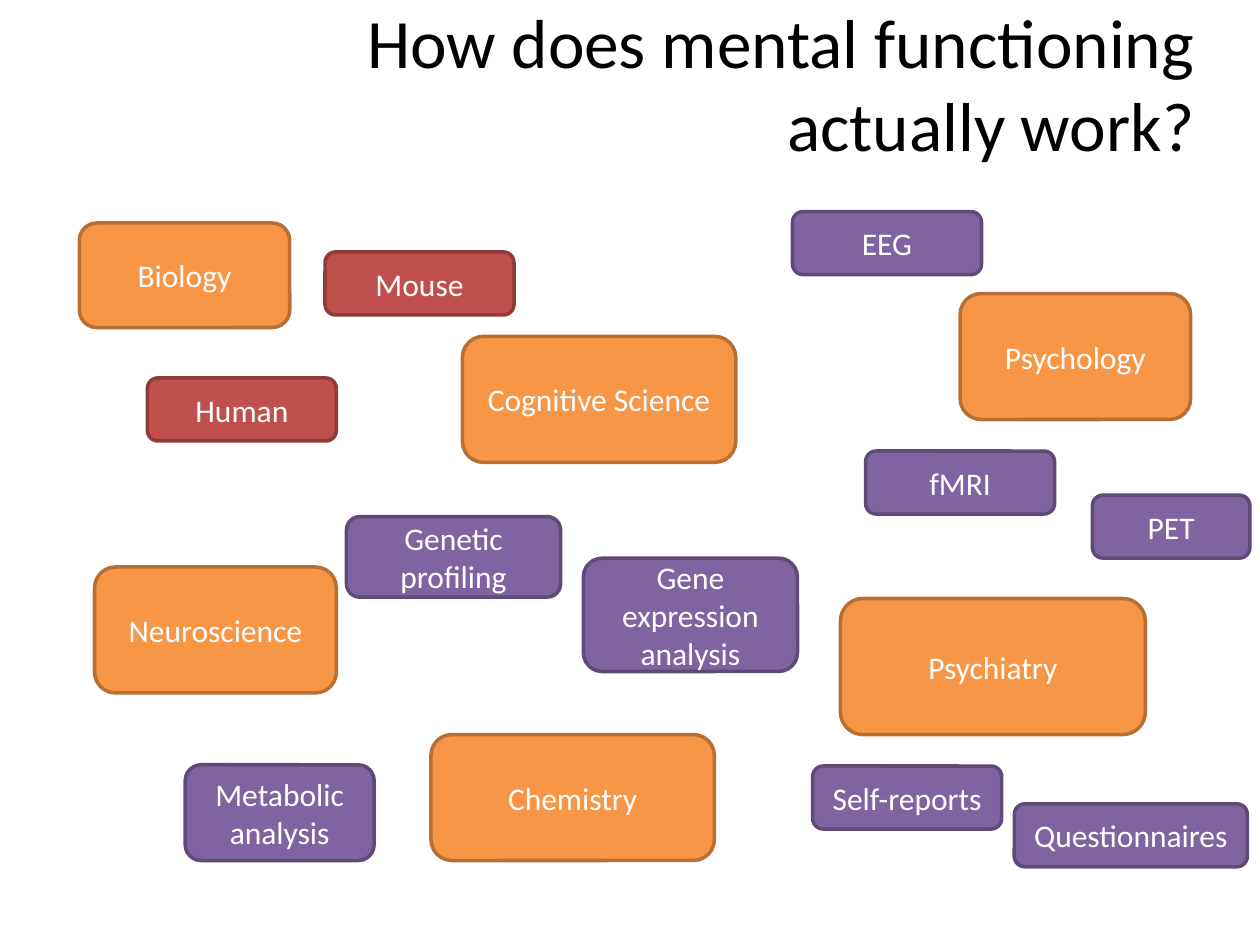
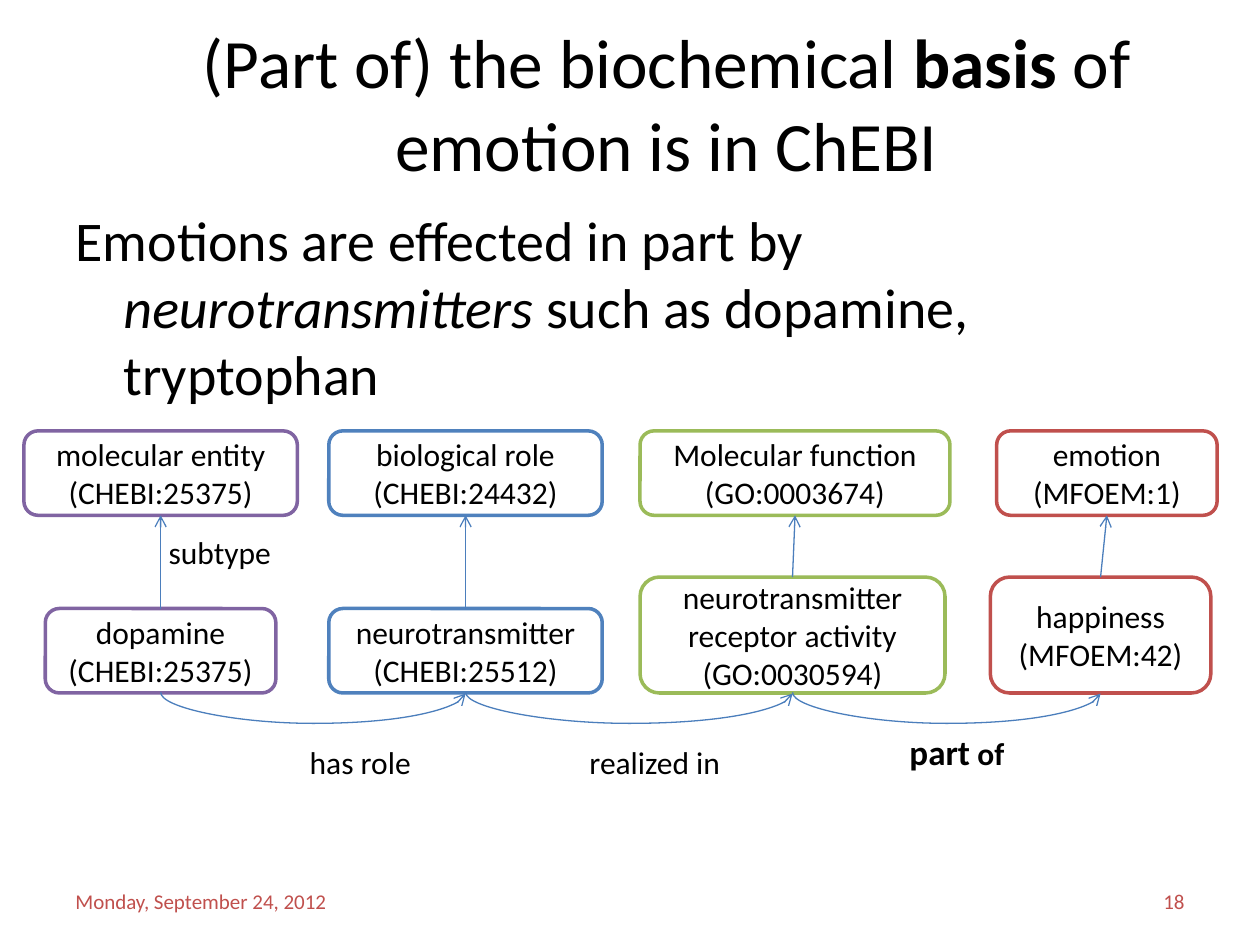
"""Build two slides on mental functioning and the biochemical basis of emotion."""
from lxml.etree import SubElement
from pptx import Presentation
from pptx.dml.color import RGBColor
from pptx.enum.shapes import MSO_CONNECTOR, MSO_SHAPE
from pptx.enum.text import MSO_ANCHOR, MSO_AUTO_SIZE, PP_ALIGN
from pptx.oxml.ns import qn
from pptx.util import Pt

PX = 9144
FONT = "Calibri"
BLACK = RGBColor(0x00, 0x00, 0x00)
WHITE = RGBColor(0xFF, 0xFF, 0xFF)
ORANGE = RGBColor(0xF7, 0x96, 0x46)
RED = RGBColor(0xC0, 0x50, 0x4D)
PURPLE = RGBColor(0x80, 0x64, 0xA2)
BLUE = RGBColor(0x4F, 0x81, 0xBD)
GREEN = RGBColor(0x9B, 0xBB, 0x59)
ARROW = RGBColor(0x4B, 0x7E, 0xBC)
EDGES = {
    ORANGE: RGBColor(0xB7, 0x6F, 0x34),
    RED: RGBColor(0x8E, 0x3B, 0x39),
    PURPLE: RGBColor(0x5F, 0x4A, 0x78),
}
LEFT, MID, RIGHT = PP_ALIGN.LEFT, PP_ALIGN.CENTER, PP_ALIGN.RIGHT

FIELDS = {
    ORANGE: [
        ("Biology", 63, 177, 167, 83),
        ("Neuroscience", 75, 450, 192, 100),
        ("Chemistry", 342, 583, 225, 100),
        ("Psychology", 762, 233, 183, 100),
        ("Psychiatry", 667, 475, 242, 108),
        ("Cognitive Science", 367, 267, 217, 100),
    ],
    RED: [
        ("Human", 117, 300, 150, 50),
        ("Mouse", 258, 200, 150, 50),
    ],
    PURPLE: [
        ("fMRI", 687, 358, 150, 50),
        ("Gene expression analysis", 463, 443, 170, 90),
        ("Self-reports", 645, 608, 150, 50),
        ("Metabolic analysis", 147, 607, 150, 76),
        ("Genetic profiling", 275, 410, 170, 64),
        ("EEG", 629, 168, 150, 50),
        ("Questionnaires", 805, 638, 185, 50),
        ("PET", 867, 393, 125, 50),
    ],
}

TOP, TALL, BASE = 342, 67, 550
TERMS = [
    (PURPLE, ("molecular entity (CHEBI:25375)", 19, 217),
     ("dopamine\n(CHEBI:25375)", 36, 183, 67)),
    (BLUE, ("biological role (CHEBI:24432)", 261, 217),
     ("neurotransmitter\n(CHEBI:25512)", 261, 217, 67)),
    (GREEN, ("Molecular function (GO:0003674)", 508, 246),
     ("neurotransmitter receptor activity\n(GO:0030594)", 508, 242, 92)),
    (RED, ("emotion\n(MFOEM:1)", 791, 175),
     ("happiness\n(MFOEM:42)", 786, 175, 92)),
]
DIP = 25
LABELS = [
    ([("subtype", "")], 124, 418, 102, 40),
    ([("has role", "")], 236, 585, 101, 40),
    ([("realized in", "")], 458, 585, 125, 40),
    ([("part", "b"), (" of", "b")], 712, 575, 96, 44),
]
HEAD = [("(Part of) the biochemical ", ""), ("basis", "b"),
        (" of emotion is in ChEBI", "")]
BODY = [("Emotions are effected in part by ", ""),
        ("neurotransmitters ", "i"), ("such as dopamine, tryptophan", "")]
FOOT = [("Monday, September 24, 2012", 50, LEFT), ("18", 717, RIGHT)]


def place(shape, *spot):
    """Move a shape to left, top, width and height in px."""
    shape.left, shape.top, shape.width, shape.height = (v * PX for v in spot)


def write(shape, text, size, color=BLACK, align=MID, anchor=MSO_ANCHOR.MIDDLE):
    """Fill a shape with one paragraph of plain text or of styled runs."""
    frame = shape.text_frame
    frame.word_wrap = True
    frame.auto_size = MSO_AUTO_SIZE.NONE
    frame.vertical_anchor = anchor
    para = frame.paragraphs[0]
    if isinstance(text, str):
        para.text = text
    else:
        for part, style in text:
            run = para.add_run()
            run.text = part
            if style == "b":
                run.font.bold = True
            elif style == "i":
                run.font.italic = True
    para.alignment = align
    para.font.name, para.font.size = FONT, Pt(size)
    para.font.color.rgb = color
    return para


def box(slide, text, spot, fill, edge, color):
    """Draw a rounded box with centred text."""
    shape = slide.shapes.add_shape(MSO_SHAPE.ROUNDED_RECTANGLE, *(v * PX for v in spot))
    shape.shadow.inherit = False
    shape.fill.solid()
    shape.fill.fore_color.rgb = fill
    shape.line.color.rgb = edge
    shape.line.width = Pt(2)
    write(shape, text, 18, color)


def arrow(slide, kind, *ends):
    """Draw a thin arrow between two points in px."""
    line = slide.shapes.add_connector(kind, *(int(v * PX) for v in ends))
    line.line.color.rgb = ARROW
    line.line.width = Pt(0.75)
    props = line._element.spPr
    SubElement(props.find(qn("a:ln")), qn("a:tailEnd"), type="arrow")
    SubElement(props, qn("a:effectLst"))
    return props


def sag(slide, start, end):
    """Draw a curved arrow that hangs below the row of boxes."""
    mid, half = (start + end) / 2, (end - start) / 2
    props = arrow(slide, MSO_CONNECTOR.CURVE, mid - 0.5, BASE - half, mid + 0.5, BASE + half)
    frame = props.find(qn("a:xfrm"))
    frame.set("rot", "16200000")
    frame.set("flipH", "1")
    guides = props.find(qn("a:prstGeom")).get_or_add_avLst()
    SubElement(guides, qn("a:gd"), name="adj1", fmla=f"val {DIP * 100000}")


def start(deck, layout, text, spot, align):
    """Add a slide with its title."""
    slide = deck.slides.add_slide(deck.slide_layouts[layout])
    place(slide.shapes.title, *spot)
    write(slide.shapes.title, text, 39.6, align=align)
    return slide


def fields(deck):
    """Scatter the fields, species and methods."""
    slide = start(deck, 5, "How does mental functioning\nactually work?",
                  (58, 22, 900, 87), RIGHT)
    for fill, items in FIELDS.items():
        for text, *spot in items:
            box(slide, text, spot, fill, EDGES[fill], WHITE)


def basis(deck):
    """Chart the terms and how they relate."""
    slide = start(deck, 1, HEAD, (75, 38, 908, 87), MID)
    body = slide.placeholders[1]
    place(body, 50, 158, 908, 542)
    props = body.text_frame.paragraphs[0]._p.get_or_add_pPr()
    props.set("marL", str(38 * PX))
    props.set("indent", str(-38 * PX))
    SubElement(props, qn("a:buNone"))
    write(body, BODY, 32, align=LEFT, anchor=MSO_ANCHOR.TOP).space_before = Pt(0)

    for text, left, align in FOOT:
        note = slide.shapes.add_textbox(left * PX, 695 * PX, 233 * PX, 40 * PX)
        write(note, text, 12, RED, align)

    mids = []
    for edge, (kind, left, wide), (term, x, w, h) in TERMS:
        box(slide, kind, (left, TOP, wide, TALL), WHITE, edge, BLACK)
        box(slide, term, (x, BASE - h, w, h), WHITE, edge, BLACK)
        mids.append(x + w / 2)
        arrow(slide, MSO_CONNECTOR.STRAIGHT, mids[-1], BASE - h, left + wide / 2, TOP + TALL)
    for pair in zip(mids, mids[1:]):
        sag(slide, *pair)

    for text, *spot in LABELS:
        label = slide.shapes.add_textbox(*(v * PX for v in spot))
        para = write(label, text, 18, align=LEFT, anchor=MSO_ANCHOR.TOP)
        label.text_frame.word_wrap = False
        label.text_frame.auto_size = MSO_AUTO_SIZE.SHAPE_TO_FIT_TEXT
        if len(text) > 1:
            para.runs[0].font.size = Pt(20)


def main():
    """Build and save the deck."""
    deck = Presentation()
    deck.slide_width, deck.slide_height = 1000 * PX, 750 * PX
    fields(deck)
    basis(deck)
    deck.save("out.pptx")


if __name__ == "__main__":
    main()
